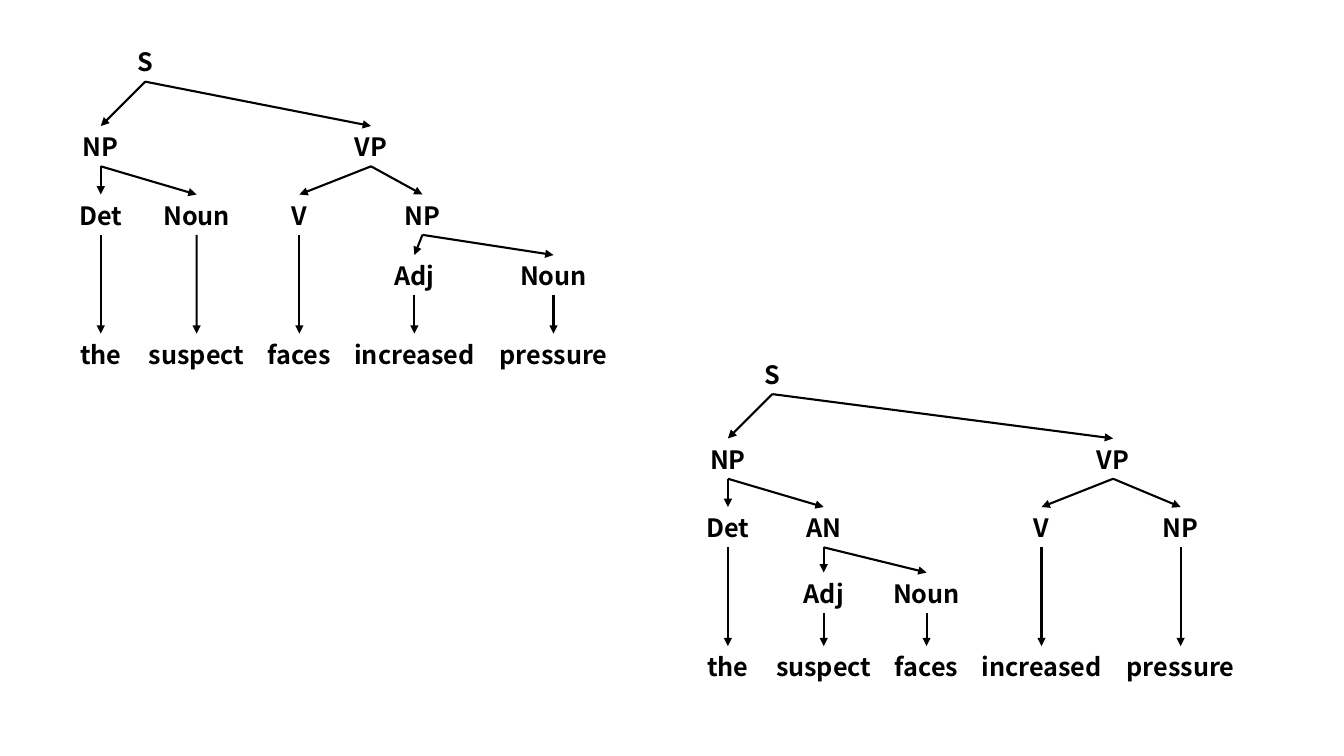
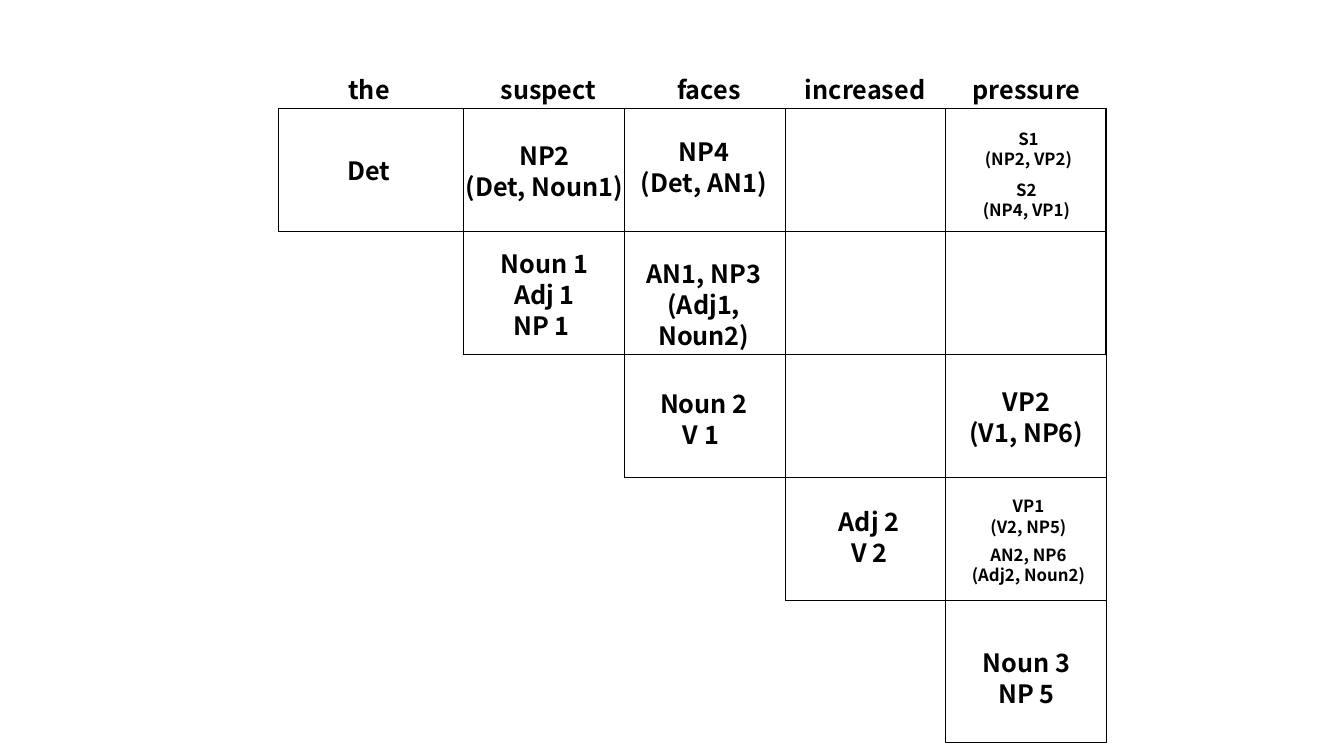
import pptx
import pptx.util
import pptx.dml.color
import pptx.enum.shapes
import pptx.enum.text
import pptx.oxml
import pptx.oxml.ns
from pptx.util import Inches

COLORS = {"ink": "000000"}
FONT = "Noto Sans CJK JP"
LINE_HEIGHT = 1.22
INK = pptx.dml.color.RGBColor.from_string(COLORS["ink"])


def add_label(shapes, lines, center, top, width, size=18):
    """Bold centred text, one paragraph per line."""
    height = 0.1 + 0.3 * len(lines) * size / 18
    label = shapes.add_textbox(Inches(center - width / 2), Inches(top),
                               Inches(width), Inches(height))
    frame = label.text_frame
    frame.word_wrap = True
    frame.margin_left = frame.margin_right = 0
    frame.text = "\n".join(lines)
    for paragraph in frame.paragraphs:
        paragraph.alignment = pptx.enum.text.PP_ALIGN.CENTER
        paragraph.line_spacing = pptx.util.Pt(size * LINE_HEIGHT)
        font = paragraph.runs[0].font
        font.name, font.size, font.bold = FONT, pptx.util.Pt(size), True
        font.color.rgb = INK
    return label


def add_arrow(shapes, parent, child):
    """Arrow from the bottom of the parent to the top of the child."""
    arrow = shapes.add_connector(pptx.enum.shapes.MSO_CONNECTOR.STRAIGHT, 0, 0, 0, 0)
    arrow.begin_connect(parent, 2)
    arrow.end_connect(child, 0)
    arrow.line.color.rgb = INK
    arrow.line.width = pptx.util.Pt(1.5)
    tail = pptx.oxml.parse_xml(
        '<a:tailEnd %s type="triangle"/>' % pptx.oxml.ns.nsdecls("a"))
    arrow.line._get_or_add_ln().append(tail)
    arrow._element.spPr.append(
        pptx.oxml.parse_xml("<a:effectLst %s/>" % pptx.oxml.ns.nsdecls("a")))


deck = pptx.Presentation()
deck.slide_width, deck.slide_height = Inches(13.33), Inches(7.5)
blank = deck.slide_layouts[6]

# Slide 1: two parse trees of one sentence
tree_slide = deck.slides.add_slide(blank)
words = ["the", "suspect", "faces", "increased", "pressure"]
word_x = [1, 1.95, 2.97, 4.11, 5.49]
THE, SUSPECT, FACES, INCREASED, PRESSURE = word_x
S_X, S_Y, PHRASE_Y, PART_Y, WORD_Y = 1.44, 0.41, 1.25, 1.93, 3.31

# Each node: label, centre, top, index of its parent
noun_subject = [
    ("S", S_X, S_Y, None), ("NP", THE, PHRASE_Y, 0), ("VP", 3.68, PHRASE_Y, 0),
    ("Det", THE, PART_Y, 1), ("Noun", SUSPECT, PART_Y, 1),
    ("V", FACES, PART_Y, 2), ("NP", 4.19, PART_Y, 2),
    ("Adj", INCREASED, 2.53, 6), ("Noun", PRESSURE, 2.53, 6),
]
adjective_subject = [
    ("S", S_X, S_Y, None), ("NP", THE, PHRASE_Y, 0), ("VP", 4.82, PHRASE_Y, 0),
    ("Det", THE, PART_Y, 1), ("AN", SUSPECT, PART_Y, 1),
    ("V", INCREASED, PART_Y, 2), ("NP", PRESSURE, PART_Y, 2),
    ("Adj", SUSPECT, 2.58, 4), ("Noun", FACES, 2.58, 4),
]
# Each tree: nodes, parents of the five words, shift right, shift down
trees = [
    (noun_subject, [3, 4, 5, 7, 8], 0, 0),
    (adjective_subject, [3, 7, 8, 5, 6], 6.22, 3.1),
]
for nodes, word_parents, right, down in trees:
    tree = tree_slide.shapes.add_group_shape().shapes
    leaves = [(word, x, WORD_Y, parent)
              for word, x, parent in zip(words, word_x, word_parents)]
    labels = []
    for text, x, y, parent in nodes + leaves:
        width = max(0.87, 0.15 * len(text))
        labels.append(add_label(tree, [text], x + right, y + down, width))
        if parent is not None:
            add_arrow(tree, labels[parent], labels[-1])

# Slide 2: triangular parse chart
chart_slide = deck.slides.add_slide(blank)
chart = chart_slide.shapes
column_edges = [2.76, 4.6, 6.19, 7.79, 9.38, 10.97]
row_edges = [1.08 + 1.22 * i for i in range(5)] + [7.37]

# Row bands run to the right edge, column bands start at the top edge
bands = [(column_edges[i], row_edges[i], column_edges[-1], row_edges[i + 1])
         for i in range(4)]
bands += [(column_edges[i], row_edges[0], column_edges[i + 1], row_edges[i + 1])
          for i in range(1, 5)]
for left, top, right, bottom in bands:
    band = chart.add_shape(pptx.enum.shapes.MSO_SHAPE.RECTANGLE, Inches(left),
                           Inches(top), Inches(right - left), Inches(bottom - top))
    band.shadow.inherit = False
    band.fill.background()
    band.line.color.rgb = INK
    band.line.width = pptx.util.Pt(0.75)

# Words above the columns
for word, center in zip(words, [3.66, 5.44, 7.03, 8.58, 10.18]):
    add_label(chart, [word], center, 0.68, 1.59)

# Cell entries: lines, centre, top, text size
entries = [
    (["Det"], 3.66, 1.49, 18),
    (["NP2", "(Det, Noun1)"], 5.4, 1.34, 18),
    (["NP4", "(Det, AN1)"], 6.98, 1.3, 18),
    (["S1", "(NP2, VP2)"], 10.2, 1.22, 12),
    (["S2", "(NP4, VP1)"], 10.18, 1.73, 12),
    (["Noun 1", "Adj 1", "NP 1 "], 5.4, 2.41, 18),
    (["AN1, NP3", "(Adj1, Noun2)"], 6.98, 2.51, 18),
    (["Noun 2", "V 1 "], 6.98, 3.8, 18),
    (["VP2", "(V1, NP6)"], 10.18, 3.78, 18),
    (["Adj 2", "V 2"], 8.62, 4.97, 18),
    (["VP1", "(V2, NP5)"], 10.2, 4.87, 12),
    (["AN2, NP6", "(Adj2, Noun2)"], 10.2, 5.35, 12),
    (["Noun 3", "NP 5"], 10.18, 6.37, 18),
]
for lines, center, top, size in entries:
    add_label(chart, lines, center, top, 1.59, size)

deck.save("out.pptx")
